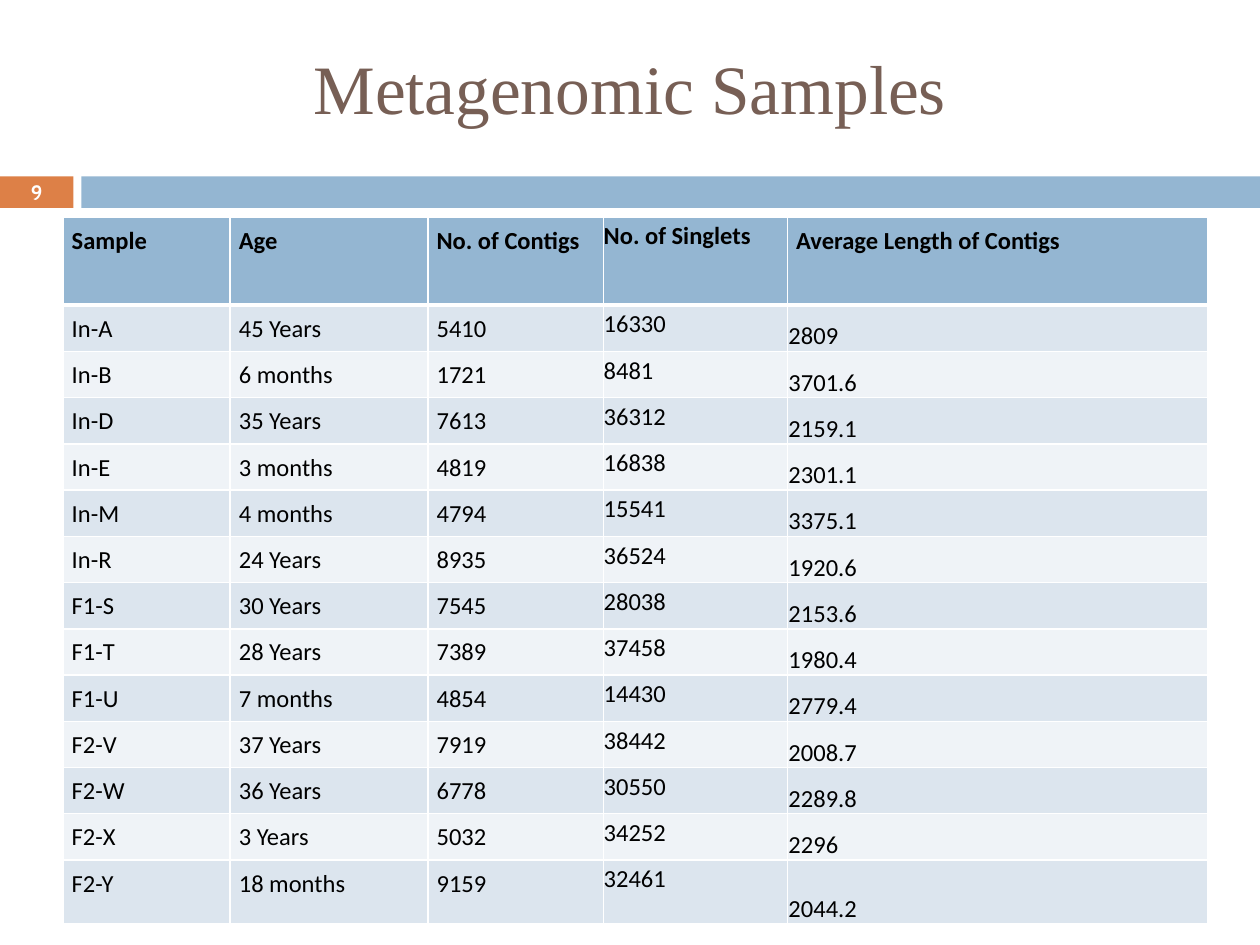
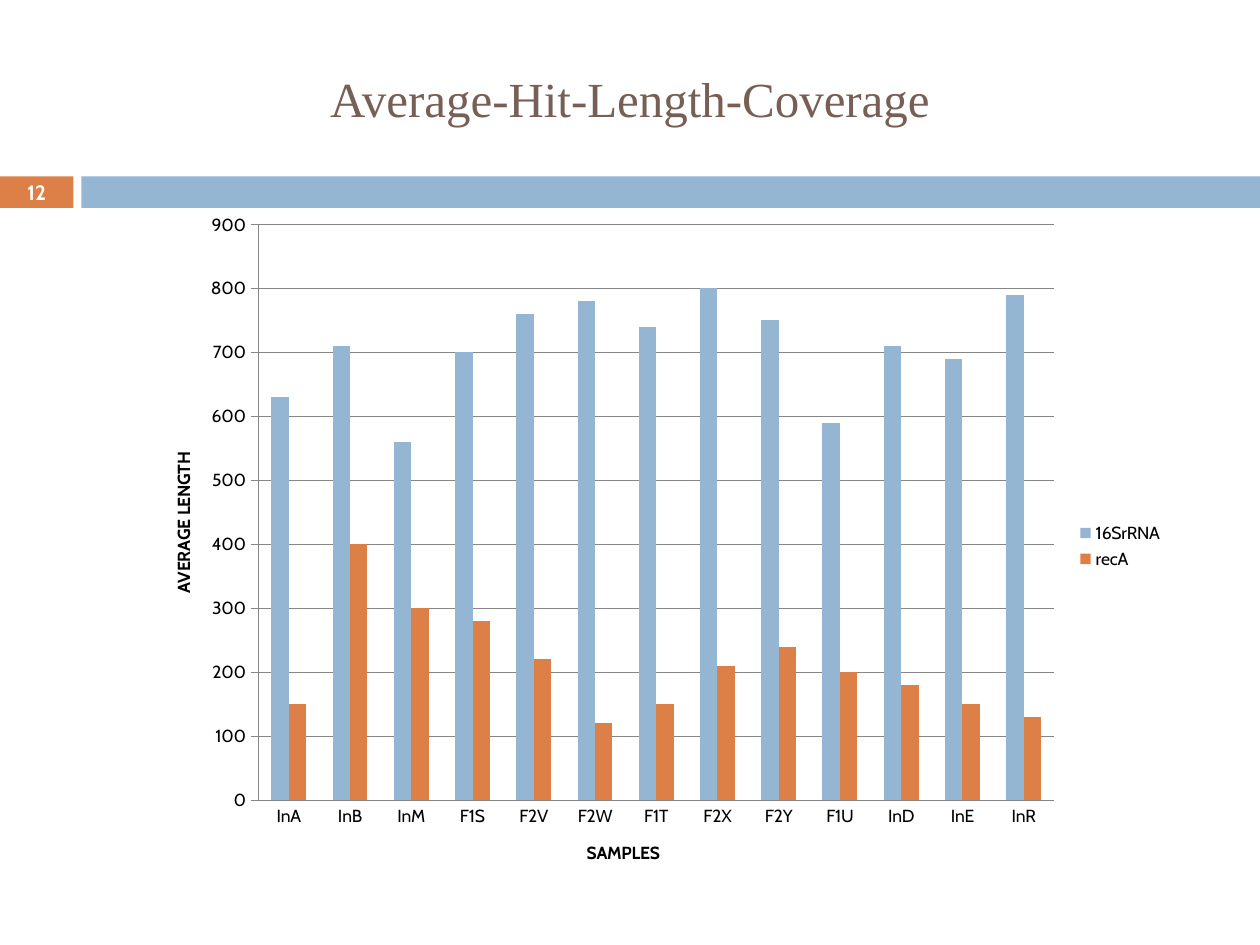
from lxml.etree import SubElement
from pptx import Presentation
from pptx.chart.data import CategoryChartData
from pptx.dml.color import RGBColor
from pptx.enum.chart import XL_CHART_TYPE, XL_LEGEND_POSITION, XL_TICK_MARK
from pptx.enum.shapes import MSO_SHAPE
from pptx.enum.text import MSO_ANCHOR, MSO_AUTO_SIZE, PP_ALIGN
from pptx.oxml.ns import qn
from pptx.util import Pt

BLUE, ORANGE, BROWN = "94B6D2", "DD8047", "775F55"
WHITE, BLACK, GRAY = "FFFFFF", "000000", "868686"
BANDS = ("EFF3F7", "DCE5EE")

HEADERS = ["Sample", "Age", "No. of Contigs", "No. of Singlets",
           "Average Length of Contigs"]
SAMPLES = [
    ["In-A", "45 Years", "5410", "16330", "2809"],
    ["In-B", "6 months", "1721", "8481", "3701.6"],
    ["In-D", "35 Years", "7613", "36312", "2159.1"],
    ["In-E", "3 months", "4819", "16838", "2301.1"],
    ["In-M", "4 months", "4794", "15541", "3375.1"],
    ["In-R", "24 Years", "8935", "36524", "1920.6"],
    ["F1-S", "30 Years", "7545", "28038", "2153.6"],
    ["F1-T", "28 Years", "7389", "37458", "1980.4"],
    ["F1-U", "7 months", "4854", "14430", "2779.4"],
    ["F2-V", "37 Years", "7919", "38442", "2008.7"],
    ["F2-W", "36 Years", "6778", "30550", "2289.8"],
    ["F2-X", "3 Years", "5032", "34252", "2296"],
    ["F2-Y", "18 months", "9159", "32461", "2044.2"],
]
COL_WIDTHS = [95.5, 113, 100.5, 105, 240]
ROW_HEIGHTS = [50.4] + [26.44] * 12 + [36.5]
PADDED, FLUSH, TIGHT = (5, 2.5, 5, 2.5), (0, 0, 0, 0), (0.6, 0.6, 0.6, 0)

CATEGORIES = ["InA", "InB", "InM", "F1S", "F2V", "F2W", "F1T", "F2X", "F2Y",
              "F1U", "InD", "InE", "InR"]
SERIES = [
    ("16SrRNA", BLUE, [630, 710, 560, 700, 760, 780, 740, 800, 750, 590, 710,
                       690, 790]),
    ("recA", ORANGE, [150, 400, 300, 280, 220, 120, 150, 210, 240, 200, 180,
                      150, 130]),
]


def rgb(value):
    """Return the colour for a hex string."""
    return RGBColor.from_string(value)


def style_font(font, size, name, color, bold=False):
    """Format a font."""
    font.size, font.name, font.bold = Pt(size), name, bold
    font.color.rgb = rgb(color)


def set_border(cell, side, width):
    """Append a white border line to a cell."""
    ln = SubElement(cell._tc.get_or_add_tcPr(), qn(f"a:ln{side}"), w=str(Pt(width)))
    fill = SubElement(ln, qn("a:solidFill"))
    SubElement(fill, qn("a:srgbClr"), val=WHITE)


def set_layout(element, **fractions):
    """Place a chart part by fractions of the chart area."""
    for old in element.findall(qn("c:layout")):
        element.remove(old)
    layout = SubElement(element, qn("c:layout"))
    manual = SubElement(layout, qn("c:manualLayout"))
    if "w" in fractions:
        SubElement(manual, qn("c:layoutTarget"), val="inner")
    for axis in "xy":
        SubElement(manual, qn(f"c:{axis}Mode"), val="edge")
    for key, value in fractions.items():
        SubElement(manual, qn(f"c:{key}"), val=str(value))
    element.insert(0 if element.find(qn("c:tx")) is None else 1, layout)


class Deck:
    """Hold the shared style and the current slide."""

    def __init__(self):
        """Start an empty 10 by 7.5 inch presentation."""
        self.prs = Presentation()
        self.prs.slide_width, self.prs.slide_height = Pt(720), Pt(540)
        self.s = None

    def slide(self, title, size, height, number):
        """Add a slide with its title, bands and number."""
        self.s = self.prs.slides.add_slide(self.prs.slide_layouts[5])
        self.band(0, 42, ORANGE)
        self.band(46.5, 673.5, BLUE)
        sp = self.s.shapes.title
        sp.left, sp.top, sp.width, sp.height = Pt(36), Pt(21.6), Pt(648), Pt(height)
        self.text(sp, title, size, "Times New Roman", BROWN)
        sp = self.s.shapes.add_textbox(Pt(0), Pt(100), Pt(42), Pt(19.5))
        self.text(sp, number, 11.9, "Cabin", WHITE, True)

    def band(self, left, width, color):
        """Add one part of the band below the title."""
        sp = self.s.shapes.add_shape(MSO_SHAPE.RECTANGLE, Pt(left), Pt(100.8),
                                     Pt(width), Pt(18))
        sp.shadow.inherit = False
        sp.fill.solid()
        sp.fill.fore_color.rgb = rgb(color)
        sp.line.fill.background()

    def text(self, sp, text, size, name, color, bold=False):
        """Write centred text into a shape."""
        tf = sp.text_frame
        tf.text = text
        tf.word_wrap, tf.auto_size = True, MSO_AUTO_SIZE.NONE
        tf.vertical_anchor = MSO_ANCHOR.MIDDLE
        p = tf.paragraphs[0]
        p.alignment = PP_ALIGN.CENTER
        style_font(p.runs[0].font, size, name, color, bold)

    def table(self, left, top, rows):
        """Add the banded sample table."""
        table = self.s.shapes.add_table(
            len(rows), len(COL_WIDTHS), Pt(left), Pt(top),
            Pt(sum(COL_WIDTHS)), Pt(sum(ROW_HEIGHTS))).table
        table.horz_banding = False
        for col, width in zip(table.columns, COL_WIDTHS):
            col.width = Pt(width)
        for row, height in zip(table.rows, ROW_HEIGHTS):
            row.height = Pt(height)
        for i, row in enumerate(rows):
            for j, value in enumerate(row):
                self.cell(table.cell(i, j), value, i, j)

    def cell(self, cell, value, i, j):
        """Fill and format one table cell."""
        numeric_end = i > 0 and j == 4
        insets = FLUSH if j == 3 else TIGHT if numeric_end else PADDED
        (cell.margin_left, cell.margin_top, cell.margin_right,
         cell.margin_bottom) = map(Pt, insets)
        cell.vertical_anchor = MSO_ANCHOR.BOTTOM if numeric_end else MSO_ANCHOR.TOP
        for side, width in zip("LRTB", (1, 1, 3 if i == 1 else 1, 3 if i == 0 else 1)):
            set_border(cell, side, width)
        cell.fill.solid()
        cell.fill.fore_color.rgb = rgb(BANDS[i % 2] if i else BLUE)
        cell.text = value
        p = cell.text_frame.paragraphs[0]
        p.line_spacing, p.space_after = 1.15, Pt(10)
        style_font(p.runs[0].font, 14, "Calibri", BLACK, i == 0)

    def chart(self, left, top, width, height):
        """Add the clustered column chart."""
        data = CategoryChartData()
        data.categories = CATEGORIES
        for name, _, values in SERIES:
            data.add_series(name, values)
        chart = self.s.shapes.add_chart(XL_CHART_TYPE.COLUMN_CLUSTERED, Pt(left),
                                        Pt(top), Pt(width), Pt(height), data).chart
        style_font(chart.font, 10, "Cabin", BLACK)
        chart.has_title = False
        chart.has_legend = True
        chart.legend.position = XL_LEGEND_POSITION.RIGHT
        chart.legend.include_in_layout = False
        plot = chart.plots[0]
        plot.gap_width, plot.overlap, plot.vary_by_categories = 150, 0, False
        for series, (_, color, _) in zip(plot.series, SERIES):
            series.format.fill.solid()
            series.format.fill.fore_color.rgb = rgb(color)
        self.axis(chart.category_axis, "SAMPLES", XL_TICK_MARK.NONE, 0.43, 0.92)
        axis = chart.value_axis
        self.axis(axis, "AVERAGE LENGTH", XL_TICK_MARK.CROSS, 0.03, 0.36)
        axis.minimum_scale, axis.maximum_scale, axis.major_unit = 0, 900, 100
        axis.has_major_gridlines = True
        line = axis.major_gridlines.format.line
        line.color.rgb, line.width = rgb(GRAY), Pt(0.75)
        set_layout(chart._chartSpace.chart.plotArea, x=0.117, y=0.036, w=0.766, h=0.831)

    def axis(self, axis, title, tick, x, y):
        """Format a chart axis and place its title."""
        axis.major_tick_mark, axis.minor_tick_mark = tick, XL_TICK_MARK.NONE
        axis.format.line.color.rgb = rgb(GRAY)
        axis.format.line.width = Pt(0.75)
        tf = axis.axis_title.text_frame
        tf.text = title
        style_font(tf.paragraphs[0].runs[0].font, 10, "Cabin", BLACK, True)
        set_layout(axis.axis_title._element, x=x, y=y)


deck = Deck()
deck.slide("Metagenomic Samples", 39.6, 56, "9")
deck.table(36, 124, [HEADERS] + SAMPLES)
deck.slide("Average-Hit-Length-Coverage", 28, 68.4, "12")
deck.chart(78, 114, 594, 396)
deck.prs.save("out.pptx")
